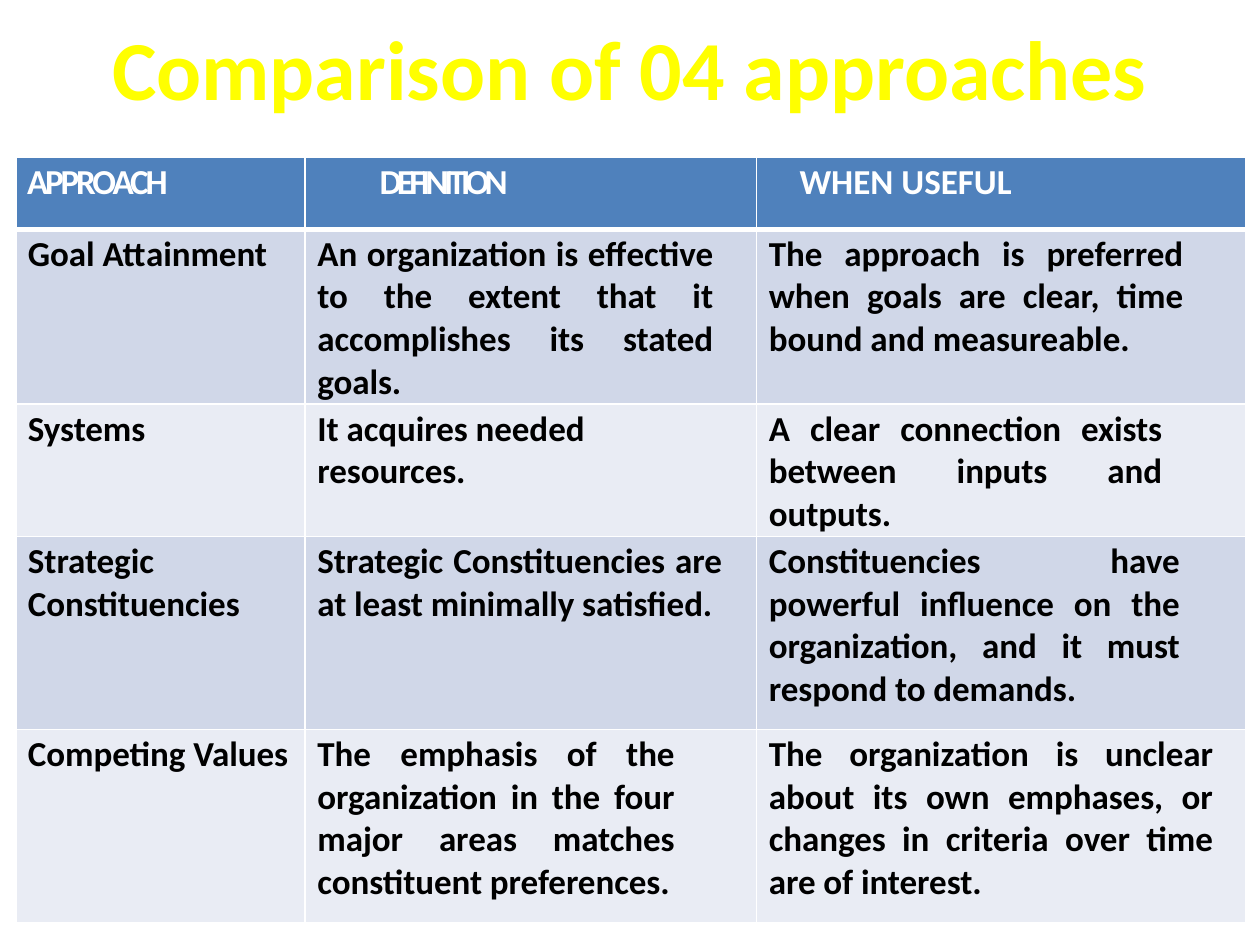
from pptx import Presentation
from pptx.dml.color import RGBColor
from pptx.enum.text import MSO_AUTO_SIZE, PP_ALIGN
from pptx.oxml import parse_xml
from pptx.oxml.ns import nsdecls
from pptx.util import Pt

THEME = {
    "font": "Calibri", "title": "FFFF00", "head": "4F81BC", "white": "FFFFFF",
    "ink": "000000", "bands": ("D0D7E8", "E9ECF4"), "big": 48, "small": 20,
}
TITLE = "Comparison of 04 approaches"
HEADS = [("APPROACH", 6.5, -1.8), ("DEFINITION", 42.5, -2.7), ("WHEN USEFUL", 24.5, 0)]
ROWS = [
    [(["Goal Attainment"], 0),
     (["An organization is effective to the extent that it accomplishes its stated goals."], 25),
     (["The approach is preferred when goals are clear, time bound and measureable."], 36)],
    [(["Systems"], 0),
     (["It acquires needed", "resources."], 0),
     (["A clear connection exists between inputs and outputs."], 48)],
    [(["Strategic Constituencies"], 0),
     (["Strategic Constituencies are at least minimally satisfied."], 20),
     (["Constituencies have powerful influence on the organization, and it must "
       "respond to demands."], 38)],
    [(["Competing Values"], 0),
     (["The emphasis of the organization in the four major areas matches "
       "constituent preferences."], 47),
     (["The organization is unclear about its own emphases, or changes in criteria "
       "over time are of interest."], 19)],
]
WIDTHS = [165.4, 258, 279.6]
HEIGHTS = [41, 80, 72, 110.3, 110.3]
INDENT, TRACK = 7, -0.05


def write(para, text, size, color, align, track=0):
    para.alignment = align
    run = para.add_run()
    run.text = text
    font = run.font
    font.name, font.size, font.bold = THEME["font"], Pt(size), True
    font.color.rgb = RGBColor.from_string(color)
    if track:
        run._r.get_or_add_rPr().set("spc", str(round(track * 100)))


def border(cell, top, bottom):
    props = cell._tc.get_or_add_tcPr()
    sides = {"lnL": 1, "lnR": 1, "lnT": top, "lnB": bottom}
    for spot, (tag, width) in enumerate(sides.items()):
        props.insert(spot, parse_xml(
            f'<a:{tag} {nsdecls("a")} w="{Pt(width)}"><a:solidFill>'
            f'<a:srgbClr val="{THEME["white"]}"/></a:solidFill></a:{tag}>'))


def fill(cell, lines, left, right, back, color, track, top=1, bottom=1):
    cell.fill.solid()
    cell.fill.fore_color.rgb = RGBColor.from_string(back)
    cell.margin_left, cell.margin_right = Pt(left), Pt(right)
    cell.margin_top, cell.margin_bottom = Pt(2), 0
    frame = cell.text_frame
    for spot, line in enumerate(lines):
        para = frame.add_paragraph() if spot else frame.paragraphs[0]
        write(para, line, THEME["small"], color, PP_ALIGN.JUSTIFY, track)
    border(cell, top, bottom)


def main():
    """Build the comparison slide."""
    deck = Presentation()
    deck.slide_width, deck.slide_height = Pt(720), Pt(540)
    slide = deck.slides.add_slide(deck.slide_layouts[6])

    frame = slide.shapes.add_table(
        len(HEIGHTS), len(WIDTHS), Pt(9), Pt(90), Pt(sum(WIDTHS)), Pt(sum(HEIGHTS)))
    table = frame.table
    table.first_row = table.horz_banding = False
    for col, width in zip(table.columns, WIDTHS):
        col.width = Pt(width)
    for row, height in zip(table.rows, HEIGHTS):
        row.height = Pt(height)
    for x, (text, left, track) in enumerate(HEADS):
        fill(table.cell(0, x), [text], left, 0, THEME["head"], THEME["white"],
             track, bottom=3)
    for y, row in enumerate(ROWS):
        for x, (lines, right) in enumerate(row):
            fill(table.cell(y + 1, x), lines, INDENT, right, THEME["bands"][y % 2],
                 THEME["ink"], TRACK, top=1 if y else 3)

    box = slide.shapes.add_textbox(Pt(30), Pt(6), Pt(660), Pt(65.5)).text_frame
    box.word_wrap = True
    box.auto_size = MSO_AUTO_SIZE.SHAPE_TO_FIT_TEXT
    write(box.paragraphs[0], TITLE, THEME["big"], THEME["title"], PP_ALIGN.CENTER)
    deck.save("out.pptx")


if __name__ == "__main__":
    main()
